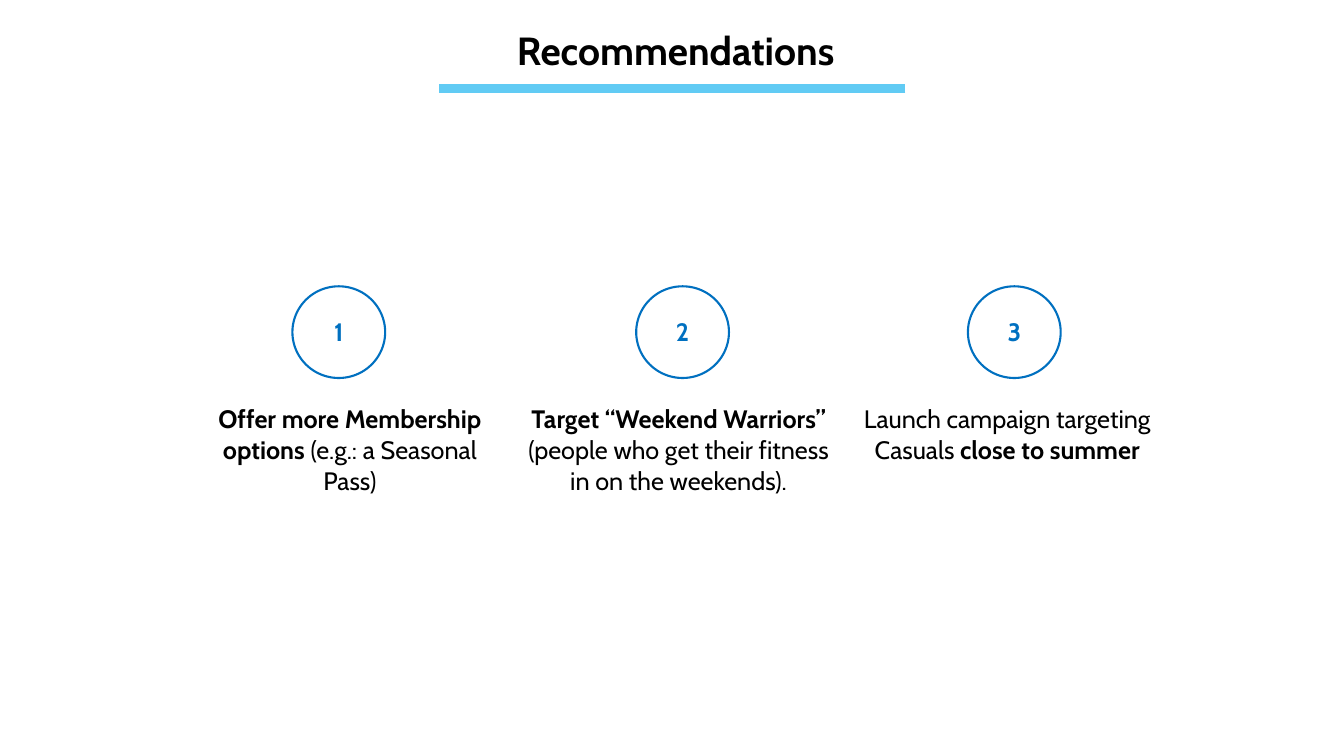
from lxml import etree
from pptx import Presentation
from pptx.dml.color import RGBColor
from pptx.enum.shapes import MSO_CONNECTOR as CONNECTOR, MSO_SHAPE as SHAPE
from pptx.enum.text import MSO_ANCHOR as ANCHOR, MSO_AUTO_SIZE as AUTO_SIZE, PP_ALIGN as ALIGN
from pptx.oxml.ns import qn
from pptx.util import Inches, Pt

BLACK = RGBColor(0x00, 0x00, 0x00)
BLUE = RGBColor(0x00, 0x70, 0xC0)
SKY = RGBColor(0x61, 0xCB, 0xF4)
FONT = "Cabin"

# Each recommendation: left edge of its circle, then its (text, bold) runs
RECOMMENDATIONS = [
    (2.9, [("Offer more Membership options ", True),
           ("(e.g.: a Seasonal Pass)", False)]),
    (6.31, [("Target “Weekend Warriors” ", True),
            ("(people who get their fitness in on the weekends).", False)]),
    (9.6, [("Launch campaign targeting Casuals ", False),
           ("close to summer", True)]),
]
CIRCLE_TOP, CIRCLE_WIDTH, CIRCLE_HEIGHT = 2.84, 0.92, 0.91
NUMBER_INSET_X, NUMBER_INSET_Y = 0.27, 0.25
COLUMN_WIDTH = 3.26
ROW_HEIGHTS = [1.38, 1.63]


def write_runs(frame, runs, size=18, color=BLACK):
    paragraph = frame.paragraphs[0]
    paragraph.alignment = ALIGN.CENTER
    for text, bold in runs:
        run = paragraph.add_run()
        run.text = text
        run.font.color.rgb = color
        formats = {"name": FONT, "size": Pt(size), "bold": bold}
        for attribute, value in formats.items():
            setattr(run.font, attribute, value)


def add_title(slide, text):
    title = slide.shapes.title
    position = {"left": 4.39, "top": 0.17, "width": 4.62, "height": 0.71}
    for attribute, value in position.items():
        setattr(title, attribute, Inches(value))
    frame = title.text_frame
    frame.vertical_anchor = ANCHOR.MIDDLE
    frame.auto_size = AUTO_SIZE.NONE
    write_runs(frame, [(text, True)], size=28)
    frame.paragraphs[0].line_spacing = 0.9


def add_underline(slide):
    underline = slide.shapes.add_connector(
        CONNECTOR.STRAIGHT, Inches(8.98), Inches(0.88), Inches(4.35), Inches(0.88))
    underline.line.color.rgb = SKY
    underline.line.width = Pt(6.5)
    etree.SubElement(underline._element.spPr, qn("a:effectLst"))


def add_advice_table(slide):
    count = len(RECOMMENDATIONS)
    table = slide.shapes.add_table(
        len(ROW_HEIGHTS), count, Inches(1.84), Inches(2.58),
        Inches(COLUMN_WIDTH * count), Inches(sum(ROW_HEIGHTS))).table
    table.first_row = table.horz_banding = False
    for column in table.columns:
        column.width = Inches(COLUMN_WIDTH)
    for row, height in zip(table.rows, ROW_HEIGHTS):
        row.height = Inches(height)
    for cell in table.iter_cells():
        cell.fill.background()
    for index, (_, advice) in enumerate(RECOMMENDATIONS):
        write_runs(table.cell(1, index).text_frame, advice)


def add_numbered_circle(slide, left, number):
    circle = slide.shapes.add_shape(
        SHAPE.OVAL, Inches(left), Inches(CIRCLE_TOP),
        Inches(CIRCLE_WIDTH), Inches(CIRCLE_HEIGHT))
    circle.shadow.inherit = False
    circle.fill.background()
    circle.line.color.rgb = BLUE
    circle.line.width = Pt(1.5)

    label = slide.shapes.add_textbox(
        Inches(left + NUMBER_INSET_X), Inches(CIRCLE_TOP + NUMBER_INSET_Y),
        Inches(0.38), Inches(0.4))
    frame = label.text_frame
    frame.word_wrap = True
    frame.auto_size = AUTO_SIZE.SHAPE_TO_FIT_TEXT
    write_runs(frame, [(str(number), True)], color=BLUE)


def main():
    deck = Presentation()
    deck.slide_width, deck.slide_height = Inches(13.33), Inches(7.5)
    slide = deck.slides.add_slide(deck.slide_layouts.get_by_name("Title Only"))

    # Heading
    add_title(slide, "Recommendations")
    add_underline(slide)

    # Advice with its numbered circles
    add_advice_table(slide)
    for number, (left, _) in enumerate(RECOMMENDATIONS, start=1):
        add_numbered_circle(slide, left, number)

    deck.save("out.pptx")


if __name__ == "__main__":
    main()
